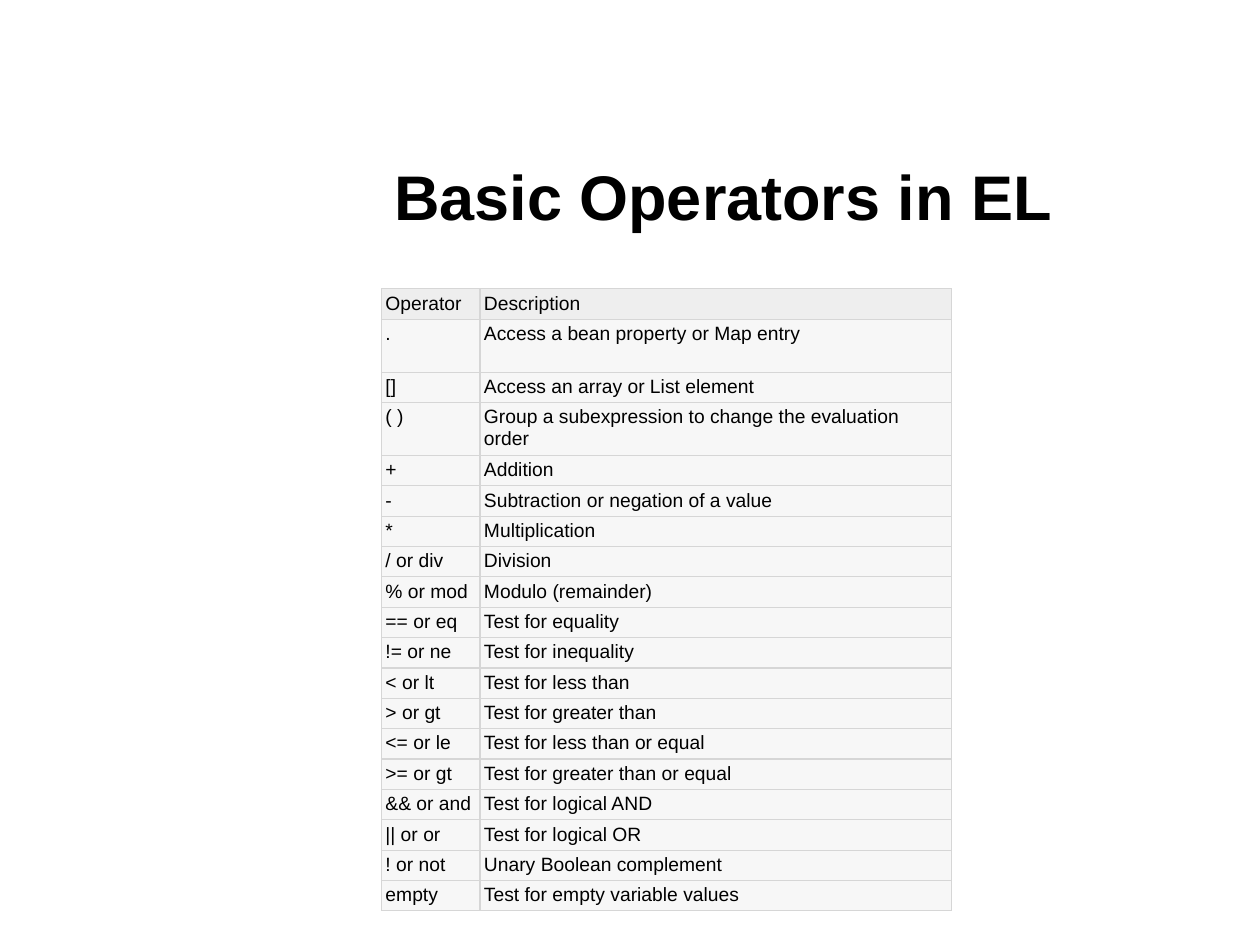
from pptx import Presentation
from pptx.dml.color import RGBColor
from pptx.enum.text import MSO_ANCHOR as Anchor, PP_ALIGN as Align
from pptx.oxml import parse_xml
from pptx.oxml.ns import nsdecls
from pptx.util import Pt

BLACK = RGBColor(0x00, 0x00, 0x00)
HEADER_GREY = RGBColor(0xEE, 0xEE, 0xEE)
BODY_GREY = RGBColor(0xF7, 0xF7, 0xF7)
BORDER_GREY = RGBColor(0xD6, 0xD6, 0xD6)

LEFT = Pt(218)
ROW_HEIGHT, TALL_ROW_HEIGHT = Pt(17.37), Pt(30.3)
COLUMN_WIDTHS = [Pt(56.3), Pt(269.6)]
TALL_OPERATORS = {".", "( )"}

OPERATORS = [
    ("Operator", "Description"),
    (".", "Access a bean property or Map entry"),
    ("[]", "Access an array or List element"),
    ("( )", "Group a subexpression to change the evaluation order"),
    ("+", "Addition"),
    ("-", "Subtraction or negation of a value"),
    ("*", "Multiplication"),
    ("/ or div", "Division"),
    ("% or mod", "Modulo (remainder)"),
    ("== or eq", "Test for equality"),
    ("!= or ne", "Test for inequality"),
    ("< or lt", "Test for less than"),
    ("> or gt", "Test for greater than"),
    ("<= or le", "Test for less than or equal"),
    (">= or gt", "Test for greater than or equal"),
    ("&& or and", "Test for logical AND"),
    ("|| or or", "Test for logical OR"),
    ("! or not", "Unary Boolean complement"),
    ("empty", "Test for empty variable values"),
]
CELL_FORMAT = {
    "margin_left": Pt(2.25), "margin_right": Pt(2.25),
    "margin_top": Pt(2.25), "margin_bottom": Pt(2.25),
    "vertical_anchor": Anchor.TOP,
}


def format_text(paragraph, size, bold):
    paragraph.alignment = Align.LEFT
    for name, value in {"name": "Arial", "size": Pt(size), "bold": bold}.items():
        setattr(paragraph.font, name, value)
    paragraph.font.color.rgb = BLACK


def add_borders(cell):
    for side in ("lnL", "lnR", "lnT", "lnB"):
        cell._tc.get_or_add_tcPr().append(parse_xml(
            f'<a:{side} {nsdecls("a")} w="{Pt(0.75)}"><a:solidFill>'
            f'<a:srgbClr val="{BORDER_GREY}"/></a:solidFill></a:{side}>'))


prs = Presentation()
prs.slide_width, prs.slide_height = Pt(720), Pt(540)
slide = prs.slides.add_slide(prs.slide_layouts[5])

title = slide.shapes.title
title.left, title.top, title.width, title.height = LEFT, Pt(86.4), Pt(480), Pt(51)
title.text_frame.text = "Basic Operators in EL"
title.text_frame.vertical_anchor = Anchor.MIDDLE
format_text(title.text_frame.paragraphs[0], 36, True)

heights = [TALL_ROW_HEIGHT if operator in TALL_OPERATORS else ROW_HEIGHT
           for operator, _ in OPERATORS]
table = slide.shapes.add_table(len(OPERATORS), 2, LEFT, Pt(165),
                               sum(COLUMN_WIDTHS), sum(heights)).table
table.horz_banding = False
for column, width in zip(table.columns, COLUMN_WIDTHS):
    column.width = width

for index, (row, height, texts) in enumerate(zip(table.rows, heights, OPERATORS)):
    row.height = height
    for cell, text in zip(row.cells, texts):
        cell.text = text
        for name, value in CELL_FORMAT.items():
            setattr(cell, name, value)
        format_text(cell.text_frame.paragraphs[0], 11, False)
        add_borders(cell)
        cell.fill.solid()
        cell.fill.fore_color.rgb = BODY_GREY if index else HEADER_GREY

prs.save("out.pptx")
